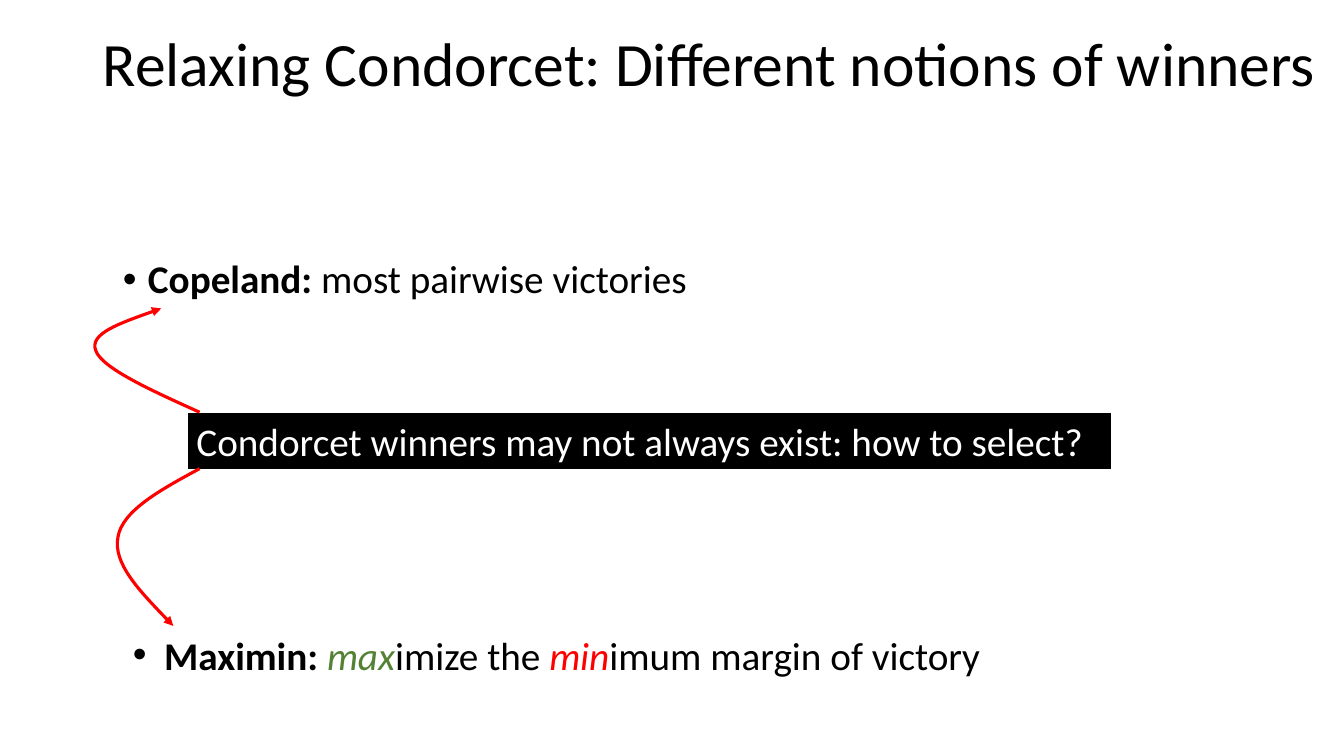
"""Slide on Copeland and Maximin as relaxations of the Condorcet winner."""
from dataclasses import dataclass
from lxml.etree import SubElement
from pptx import Presentation
from pptx.dml.color import RGBColor as RGB
from pptx.enum.shapes import MSO_SHAPE as SHAPE
from pptx.enum.text import MSO_ANCHOR as ANCHOR, PP_ALIGN as ALIGN
from pptx.oxml.ns import qn
from pptx.util import Inches, Pt


@dataclass(frozen=True)
class Theme:
    font: str = "Calibri"
    title: int = 44
    body: int = 28
    black: str = "000000"
    white: str = "FFFFFF"
    green: str = "548235"
    red: str = "FF0000"


T = Theme()
prs = Presentation()
prs.slide_width, prs.slide_height = Inches(13.33), Inches(7.5)
COL, ROW = prs.slide_width / 100, prs.slide_height / 100
s = prs.slides.add_slide(prs.slide_layouts[6])


def grid(*cells):
    return [round(n * (ROW if i % 2 else COL)) for i, n in enumerate(cells)]


def write(sp, *runs, size=T.body, color=T.black, anchor=ANCHOR.TOP, spacing=1, before=0, bullet=0):
    tf = sp.text_frame
    tf.word_wrap, tf.vertical_anchor = True, anchor
    p = tf.paragraphs[0]
    p.alignment, p.line_spacing, p.space_before = ALIGN.LEFT, spacing, Pt(before)
    if bullet:
        pPr = p._p.get_or_add_pPr()
        pPr.set("marL", str(Inches(bullet)))
        pPr.set("indent", str(-Inches(bullet)))
        SubElement(pPr, qn("a:buFont"), typeface="Arial")
        SubElement(pPr, qn("a:buChar"), char="•")
    for text, style, tint in runs:
        r = p.add_run()
        r.text = text
        f = r.font
        f.name, f.size, f.bold, f.italic = T.font, Pt(size), style == "bold", style == "italic"
        f.color.rgb = RGB.from_string(tint or color)


write(s.shapes.add_textbox(*grid(6.9, -0.8, 92.1, 19.3)),
      ("Relaxing Condorcet: Different notions of winners", "", ""),
      size=T.title, anchor=ANCHOR.MIDDLE, spacing=0.9)

write(s.shapes.add_textbox(*grid(8.4, 33.7, 86.3, 12.8)),
      ("Copeland: ", "bold", ""), ("most pairwise victories", "", ""),
      spacing=0.9, before=10, bullet=0.25)

question = s.shapes.add_shape(SHAPE.RECTANGLE, *grid(13.88, 54.53, 68.87, 7.6))
question.shadow.inherit = False
question.fill.solid()
question.fill.fore_color.rgb = RGB.from_string(T.black)
question.line.color.rgb = RGB.from_string(T.white)
question.line.width = Pt(1.5)
write(question, ("Condorcet winners may not always exist: how to select?", "", ""), color=T.white)

write(s.shapes.add_textbox(*grid(9.15, 82.8, 64.8, 7.6)),
      ("Maximin: ", "bold", ""), ("max", "italic", T.green), ("imize the ", "", ""),
      ("min", "italic", T.red), ("imum margin of victory", "", ""), bullet=0.31)

to_copeland = [(14.85, 54.53), (11.18, 51.6), (7.58, 48.67), (7.13, 46.4),
               (6.6, 44.13), (9.3, 42.53), (12, 40.8)]
to_maximin = [(14.85, 62), (11.93, 64.8), (9.08, 67.6), (8.78, 71.07),
              (8.4, 74.53), (10.65, 78.67), (12.9, 82.8)]
for curve in (to_copeland, to_maximin):
    start, *controls = [grid(*point) for point in curve]
    fb = s.shapes.build_freeform(*start)
    fb.add_line_segments(controls, close=False)
    sp = fb.convert_to_shape()
    sp.shadow.inherit = False
    sp.fill.background()
    sp.line.color.rgb = RGB.from_string(T.red)
    sp.line.width = Pt(2.25)
    SubElement(sp.line._get_or_add_ln(), qn("a:tailEnd"), type="triangle")
    outline = next(sp._element.iter(qn("a:path")))
    segments = outline.findall(qn("a:lnTo"))
    for i in range(0, len(segments), 3):
        bezier = SubElement(outline, qn("a:cubicBezTo"))
        for segment in segments[i:i + 3]:
            bezier.append(segment[0])
            outline.remove(segment)

prs.save("out.pptx")
